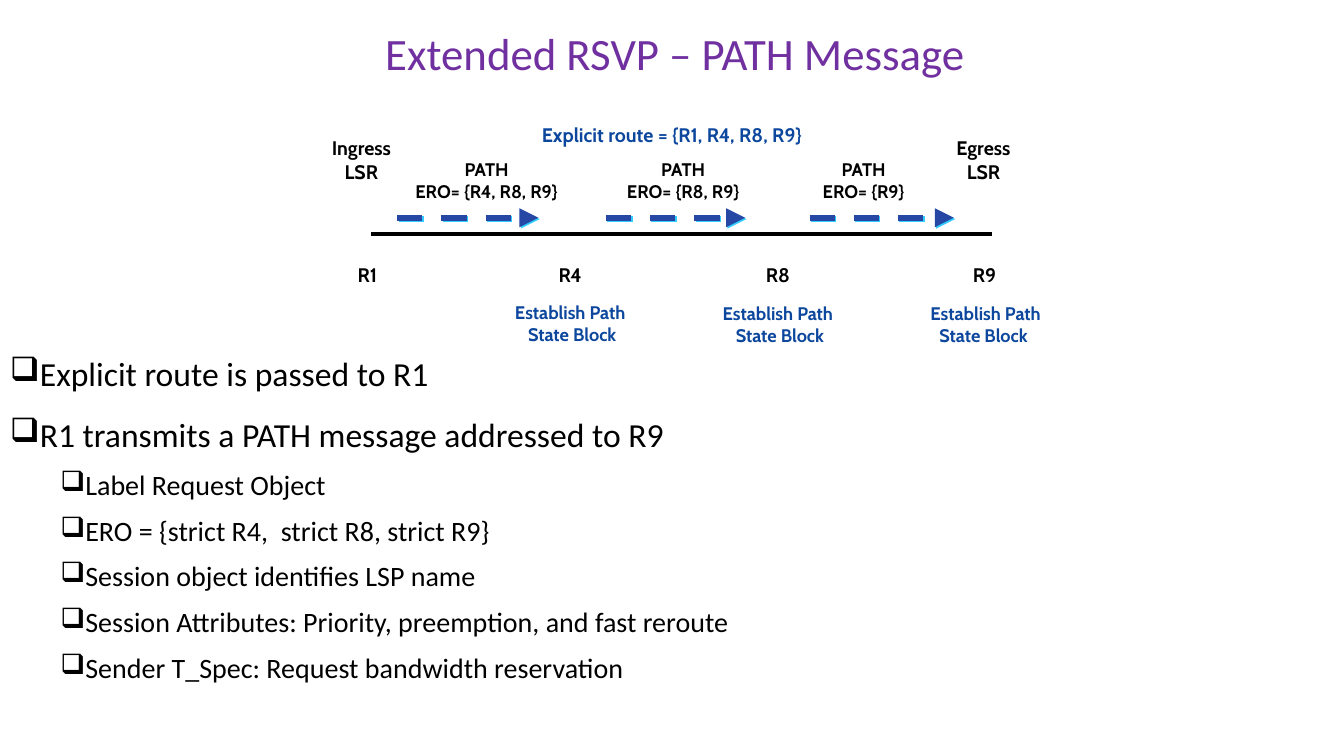
from dataclasses import dataclass

from lxml import etree
from pptx import Presentation
from pptx.dml.color import RGBColor
from pptx.enum.dml import MSO_LINE
from pptx.enum.shapes import MSO_CONNECTOR
from pptx.enum.text import MSO_ANCHOR, PP_ALIGN
from pptx.oxml.ns import qn
from pptx.util import Inches, Pt

LEFT, CENTER = PP_ALIGN.LEFT, PP_ALIGN.CENTER
TOP, MIDDLE = MSO_ANCHOR.TOP, MSO_ANCHOR.MIDDLE
STRAIGHT, DASH = MSO_CONNECTOR.STRAIGHT, MSO_LINE.DASH


@dataclass(frozen=True)
class Theme:
    """Hold the fonts, colours and type sizes of the slide."""
    text_font: str = "Calibri"
    label_font: str = "Cabin"
    purple: str = "7030A0"
    black: str = "000000"
    blue: str = "0C479D"
    arrow: str = "2647A4"
    glow: str = "33CCFF"
    title: int = 32
    bullet: int = 24
    sub_bullet: int = 20
    label: int = 14
    small_label: int = 13


THEME = Theme()

ROUTERS = [("R1", 3.41), ("R4", 5.42), ("R8", 7.48), ("R9", 9.53)]
ENDS = [("Ingress", 3.11, 0.95), ("Egress", 9.33, 0.85)]
STATE_BLOCKS = [
    (["Establish Path ", "State Block"], 4.81, 2.94),
    (["Establish Path ", "State Block"], 6.87, 2.95),
    (["Establish Path", "State Block "], 8.91, 2.95),
]
MESSAGES = [
    ("ERO= {R4, R8, R9}", 3.77, 3.94, 5.34),
    ("ERO= {R8, R9}", 5.72, 6.01, 7.39),
    ("ERO= {R9}", 7.51, 8.03, 9.46),
]
BULLETS = [
    (0, "Explicit route is passed to R1"),
    (0, "R1 transmits a PATH message addressed to R9"),
    (1, "Label Request Object "),
    (1, "ERO = {strict R4,  strict R8, strict R9}"),
    (1, "Session object identifies LSP name"),
    (1, "Session Attributes: Priority, preemption, and fast reroute"),
    (1, "Sender T_Spec: Request bandwidth reservation"),
]


def apply_format(target, values):
    """Set each named attribute on the target."""
    for name, value in values.items():
        setattr(target, name, value)


def add_box(page, area, anchor=TOP, wrap=True):
    """Add an empty text box and return its text frame."""
    frame = page.shapes.add_textbox(*map(Inches, area)).text_frame
    apply_format(frame, {"word_wrap": wrap, "vertical_anchor": anchor})
    return frame


def write_paragraph(para, text, layout, font, color):
    """Write one formatted span of text into a paragraph."""
    apply_format(para, layout)
    span = para.add_run()
    span.text = text
    apply_format(span.font, font)
    span.font.color.rgb = RGBColor.from_string(color)


def next_paragraph(frame, index):
    """Return the first paragraph of the frame or add another."""
    return frame.add_paragraph() if index else frame.paragraphs[0]


def add_label(page, lines, area, size, color=THEME.black, wrap=True):
    """Add a bold centred diagram label."""
    frame = add_box(page, area, wrap=wrap)
    font = {"name": THEME.label_font, "size": Pt(size), "bold": True}
    for index, text in enumerate(lines):
        para = next_paragraph(frame, index)
        write_paragraph(para, text, {"alignment": CENTER}, font, color)


def add_line(page, start, end, y, color, width):
    """Add a horizontal line without a theme shadow."""
    line = page.shapes.add_connector(
        STRAIGHT, Inches(start), Inches(y), Inches(end), Inches(y))
    line.line.color.rgb = RGBColor.from_string(color)
    line.line.width = Pt(width)
    etree.SubElement(line._element.spPr, qn("a:effectLst"))
    return line


def add_message_arrow(page, start, end):
    """Add a dashed arrow with a hard coloured shadow."""
    arrow = add_line(page, start, end, 2.16, THEME.arrow, 4.5)
    arrow.line.dash_style = DASH
    properties = arrow._element.spPr
    etree.SubElement(properties.find(qn("a:ln")), qn("a:tailEnd"), type="triangle")
    shadow = etree.SubElement(
        properties.find(qn("a:effectLst")), qn("a:outerShdw"),
        blurRad="0", dist=str(Pt(1.4)), dir=str(45 * 60000))
    etree.SubElement(shadow, qn("a:srgbClr"), val=THEME.glow)


def add_title(page):
    """Add the slide title."""
    frame = add_box(page, (2.28, 0.09, 8.83, 0.94), anchor=MIDDLE)
    write_paragraph(
        frame.paragraphs[0], "Extended RSVP – PATH Message",
        {"alignment": CENTER, "line_spacing": 0.9},
        {"name": THEME.text_font, "size": Pt(THEME.title)}, THEME.purple)


def add_bullets(page):
    """Add the two-level bullet list."""
    frame = add_box(page, (0, 3.5, 13.21, 4))
    sizes, gaps = (THEME.bullet, THEME.sub_bullet), (10, 5)
    for index, (level, text) in enumerate(BULLETS):
        para = next_paragraph(frame, index)
        properties = para._p.get_or_add_pPr()
        properties.set("marL", str(Inches(0.5 * level)))
        properties.set("indent", "0")
        etree.SubElement(properties, qn("a:buChar"), char="❑")
        layout = {
            "alignment": LEFT, "level": level, "line_spacing": 0.9,
            "space_before": Pt(gaps[level] if index else 0),
            "space_after": Pt(0.3 * sizes[level]),
        }
        font = {"name": THEME.text_font, "size": Pt(sizes[level])}
        write_paragraph(para, text, layout, font, THEME.black)


def add_diagram(page):
    """Add the router path with its messages and labels."""
    for lines, left, top in STATE_BLOCKS:
        add_label(page, lines, (left, top, 1.73, 0.53), THEME.small_label, THEME.blue)
    add_line(page, 3.68, 9.84, 2.32, THEME.black, 3)
    for name, left, width in ENDS:
        add_label(page, [name, "LSR"], (left, 1.3, width, 0.57), THEME.label, wrap=False)
    add_label(page, ["Explicit route = {R1, R4, R8, R9}"],
              (4.69, 1.17, 3.95, 0.33), THEME.label, THEME.blue)
    for route, left, start, end in MESSAGES:
        add_label(page, ["PATH", route], (left, 1.52, 2.11, 0.53), THEME.small_label)
        add_message_arrow(page, start, end)
    for name, left in ROUTERS:
        add_label(page, [name], (left, 2.56, 0.47, 0.33), THEME.label, wrap=False)


def main():
    """Build the slide and save the deck."""
    deck = Presentation()
    apply_format(deck, {"slide_width": Inches(13.33), "slide_height": Inches(7.5)})
    page = deck.slides.add_slide(deck.slide_layouts[6])
    add_title(page)
    add_bullets(page)
    add_diagram(page)
    deck.save("out.pptx")


if __name__ == "__main__":
    main()
